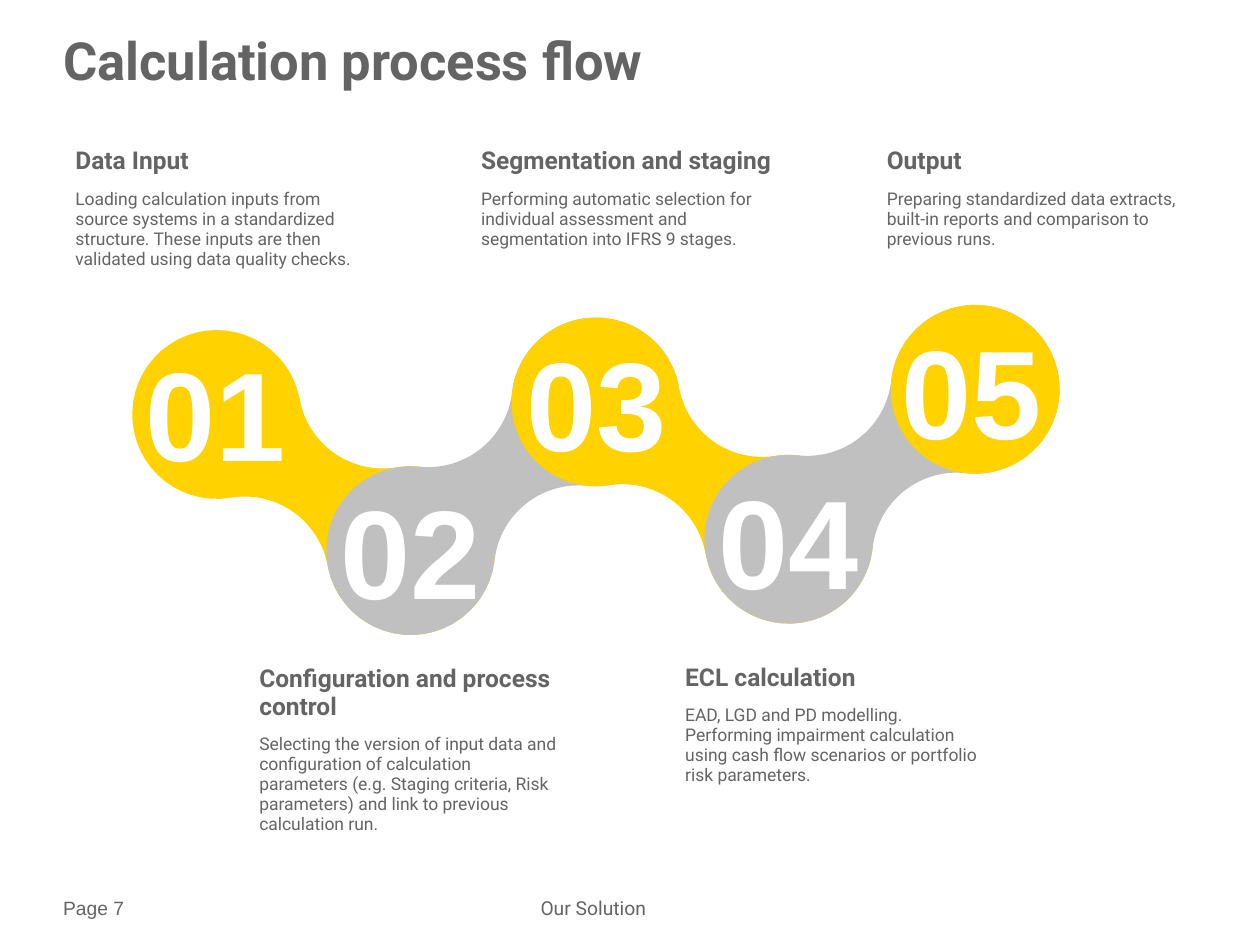
from math import acos, atan2, cos, hypot, pi, sin

from pptx import Presentation
from pptx.dml.color import RGBColor
from pptx.enum.shapes import MSO_SHAPE
from pptx.enum.text import MSO_ANCHOR, MSO_AUTO_SIZE, PP_ALIGN
from pptx.util import Inches, Pt

GOLD, SILVER, GREY, WHITE = "FFD200", "C0C0C0", "646464", "FFFFFF"
RADIUS = 0.67
NUMBER_SIZE = 1.21
TEXT_WIDTH = 2.56
ARC_STEPS = 40

# circle centre, number box (left, top), text box (left, top, height), heading, body
STEPS = [
    ((1.72, 3.29), (1.11, 2.66), (0.5, 1.12, 1.08), "Data Input",
     "Loading calculation inputs from source systems in a standardized structure. "
     "These inputs are then validated using data quality checks."),
    ((3.26, 4.37), (2.65, 3.75), (1.96, 5.23, 1.46), "Configuration and process control",
     "Selecting the version of input data and configuration of calculation parameters "
     "(e.g. Staging criteria, Risk parameters) and link to previous calculation run."),
    ((4.73, 3.19), (4.13, 2.58), (3.72, 1.12, 1.14), "Segmentation and staging",
     "Performing automatic selection for individual assessment and segmentation "
     "into IFRS 9 stages."),
    ((6.26, 4.28), (5.65, 3.67), (5.34, 5.22, 1.08), "ECL calculation",
     "EAD, LGD and PD modelling. Performing impairment calculation using cash flow "
     "scenarios or portfolio risk parameters."),
    ((7.74, 3.09), (7.11, 2.48), (6.94, 1.12, 0.92), "Output",
     "Preparing standardized data extracts, built-in reports and comparison to "
     "previous runs."),
]


def rgb(value):
    return RGBColor.from_string(value)


def format_text(p, size, color=GREY, bold=False, font="Roboto"):
    for r in p.runs:
        r.font.size = Pt(size)
        r.font.name = font
        r.font.bold = bold
        r.font.color.rgb = rgb(color)


def paint(sp, color):
    sp.shadow.inherit = False
    sp.line.fill.background()
    if color:
        sp.fill.solid()
        sp.fill.fore_color.rgb = rgb(color)
    else:
        sp.fill.background()


def clear_margins(tf):
    tf.margin_left = tf.margin_right = tf.margin_top = tf.margin_bottom = 0


def arc(center, start, end):
    angles = (start + (end - start) * i / ARC_STEPS for i in range(ARC_STEPS + 1))
    return [(center[0] + RADIUS * cos(t), center[1] + RADIUS * sin(t)) for t in angles]


def add_link(shapes, a, b, color):
    """Two circles joined by a neck whose sides are arcs of the same radius."""
    dx, dy = b[0] - a[0], b[1] - a[1]
    turn = atan2(dy, dx)
    tilt = acos(hypot(dx, dy) / 2 / (2 * RADIUS))
    sides = [(a[0] + 2 * RADIUS * cos(turn + s * tilt),
              a[1] + 2 * RADIUS * sin(turn + s * tilt)) for s in (-1, 1)]
    points = (arc(a, turn + tilt, turn + 2 * pi - tilt)
              + arc(sides[0], turn + pi - tilt, turn + tilt)
              + arc(b, turn + tilt - pi, turn + pi - tilt)
              + arc(sides[1], turn - tilt, turn + tilt - pi))
    points = [(Inches(x), Inches(y)) for x, y in points]
    builder = shapes.build_freeform(*points[0])
    builder.add_line_segments(points[1:], close=True)
    paint(builder.convert_to_shape(), color)


def add_circle(shapes, left, top, size, color=None):
    sp = shapes.add_shape(MSO_SHAPE.OVAL, Inches(left), Inches(top),
                          Inches(size), Inches(size))
    paint(sp, color)
    return sp


def add_number(shapes, corner, text):
    tf = add_circle(shapes, *corner, NUMBER_SIZE).text_frame
    tf.text = text
    tf.word_wrap = False
    tf.vertical_anchor = MSO_ANCHOR.MIDDLE
    p = tf.paragraphs[0]
    p.alignment = PP_ALIGN.CENTER
    format_text(p, 72, WHITE, True, "Arial")


def add_box(shapes, left, top, width, height, text):
    tf = shapes.add_textbox(Inches(left), Inches(top),
                            Inches(width), Inches(height)).text_frame
    tf.word_wrap = True
    tf.text = text
    return tf


def add_description(shapes, place, heading, body):
    left, top, height = place
    tf = add_box(shapes, left, top, TEXT_WIDTH, height, f"{heading}\n{body}")
    tf.auto_size = MSO_AUTO_SIZE.SHAPE_TO_FIT_TEXT
    for p, size, bold in zip(tf.paragraphs, (14, 10), (True, False)):
        p.line_spacing = 0.95
        p.space_after = Pt(8)
        format_text(p, size, bold=bold)


def add_footer(shapes, left, width, text, font, alignment):
    tf = add_box(shapes, left, 7.11, width, 0.22, text)
    clear_margins(tf)
    p = tf.paragraphs[0]
    p.alignment = alignment
    format_text(p, 11, font=font)


def main():
    prs = Presentation()
    prs.slide_width, prs.slide_height = Inches(10), Inches(7.5)
    s = prs.slides.add_slide(prs.slide_layouts[5])
    shapes = s.shapes

    title = shapes.title
    title.left, title.top = Inches(0.5), Inches(0.3)
    title.width, title.height = Inches(9), Inches(0.94)
    tf = title.text_frame
    tf.text = "Calculation process flow"
    clear_margins(tf)
    tf.vertical_anchor = MSO_ANCHOR.TOP
    p = tf.paragraphs[0]
    p.alignment = PP_ALIGN.LEFT
    p.line_spacing = 0.85
    format_text(p, 30, bold=True)

    centers = [step[0] for step in STEPS]
    for i, (a, b) in enumerate(zip(centers, centers[1:])):
        add_link(shapes, a, b, SILVER if i % 2 else GOLD)
    x, y = centers[-1]
    add_circle(shapes, x - RADIUS, y - RADIUS, 2 * RADIUS, GOLD)

    for i, (_, corner, place, heading, body) in enumerate(STEPS, 1):
        add_number(shapes, corner, f"{i:02}")
        add_description(shapes, place, heading, body)

    add_footer(shapes, 0.5, 0.79, "Page 7", "Arial", PP_ALIGN.LEFT)
    add_footer(shapes, 2.83, 3.76, "Our Solution", "Roboto", PP_ALIGN.CENTER)
    prs.save("out.pptx")


if __name__ == "__main__":
    main()
